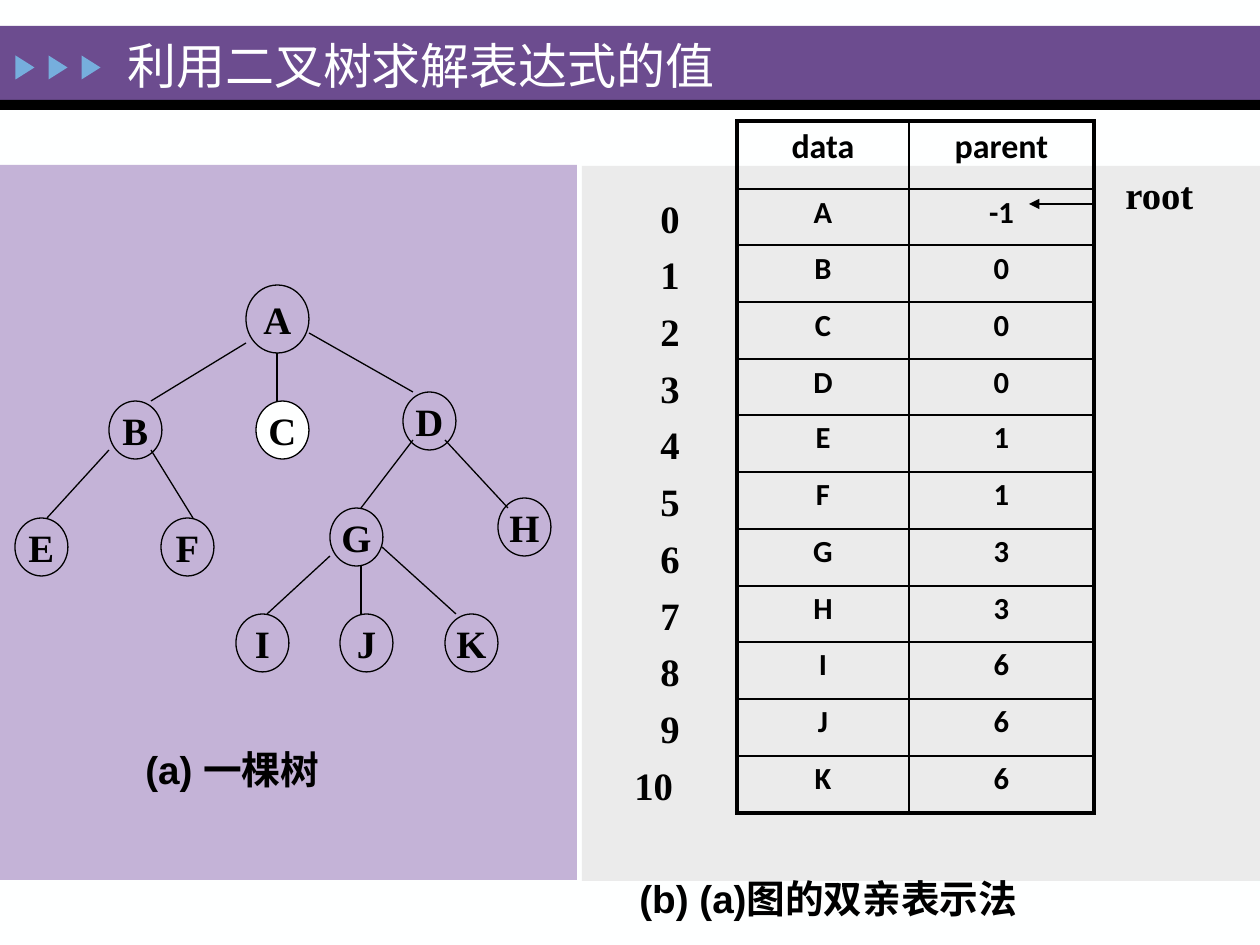
from lxml.etree import SubElement
from pptx import Presentation
from pptx.dml.color import RGBColor
from pptx.enum.shapes import MSO_CONNECTOR, MSO_SHAPE
from pptx.enum.text import MSO_ANCHOR, PP_ALIGN
from pptx.oxml.ns import qn
from pptx.util import Emu, Pt

COLORS = {
    "page": "FEFFFF", "bar": "6C4C8F", "ink": "000000", "mark": "76AEDD",
    "left": "C4B3D7", "right": "EBEBEB",
}
SERIF, SANS, BODY = "Times New Roman", "Arial", "Calibri"


def px(n):
    return Emu(round(n * 914400 / 126))


def rgb(name):
    return RGBColor.from_string(COLORS[name])


class Board:
    def __init__(self, slide):
        self.slide = slide
        self.items = slide.shapes
        slide.background.fill.solid()
        slide.background.fill.fore_color.rgb = rgb("page")

    def label(self, frame, text, size, font, color="ink", bold=True, align=PP_ALIGN.LEFT):
        para = frame.paragraphs[0]
        para.text = text
        para.alignment = align
        para.font.size = Pt(size)
        para.font.name = font
        para.font.bold = bold
        para.font.color.rgb = rgb(color)

    def shape(self, kind, x, y, w, h, fill=None, line=None):
        item = self.items.add_shape(kind, px(x), px(y), px(w), px(h))
        item.shadow.inherit = False
        if fill:
            item.fill.solid()
            item.fill.fore_color.rgb = rgb(fill)
        else:
            item.fill.background()
        if line:
            item.line.color.rgb = rgb(line)
            item.line.width = Pt(0.75)
        else:
            item.line.fill.background()
        return item

    def node(self, name, x, y, w=53, h=58, fill=None):
        item = self.shape(MSO_SHAPE.OVAL, x, y, w, h, fill, "ink")
        frame = item.text_frame
        frame.word_wrap = False
        frame.vertical_anchor = MSO_ANCHOR.MIDDLE
        self.label(frame, name, 22.1, SERIF, align=PP_ALIGN.CENTER)

    def line(self, x1, y1, x2, y2, arrow=False):
        item = self.items.add_connector(
            MSO_CONNECTOR.STRAIGHT, px(x1), px(y1), px(x2), px(y2))
        item.line.color.rgb = rgb("ink")
        item.line.width = Pt(0.75)
        props = item._element.spPr
        if arrow:
            SubElement(props.find(qn("a:ln")), qn("a:tailEnd"), type="triangle")
        SubElement(props, qn("a:effectLst"))

    def text(self, text, x, y, w, h, size=22.1, font=SERIF, color="ink", bold=True):
        frame = self.items.add_textbox(px(x), px(y), px(w), px(h)).text_frame
        frame.word_wrap = True
        frame.vertical_anchor = MSO_ANCHOR.MIDDLE
        self.label(frame, text, size, font, color, bold)

    def border(self, cell, side, width):
        props = cell._tc.get_or_add_tcPr()
        line = SubElement(props, qn("a:ln" + side), w=str(int(Pt(width))))
        fill = SubElement(line, qn("a:solidFill"))
        SubElement(fill, qn("a:srgbClr"), val=COLORS["ink"])

    def table(self, rows, x, y, wide, high):
        grid = self.items.add_table(
            len(rows), len(wide), px(x), px(y), px(sum(wide)), px(sum(high))).table
        grid.first_row = grid.horz_banding = False
        for col, w in zip(grid.columns, wide):
            col.width = px(w)
        for r, row in enumerate(rows):
            grid.rows[r].height = px(high[r])
            for c, word in enumerate(row):
                cell = grid.cell(r, c)
                outer = {"L": c == 0, "R": c == len(wide) - 1,
                         "T": r == 0, "B": r == len(rows) - 1}
                for side, edge in outer.items():
                    self.border(cell, side, 2.25 if edge else 1)
                cell.fill.background()
                cell.margin_left = cell.margin_right = px(8)
                cell.margin_top = cell.margin_bottom = px(5)
                self.label(cell.text_frame, word, 17.5 if r else 19.4, BODY,
                           align=PP_ALIGN.CENTER)


def main():
    deck = Presentation()
    deck.slide_width, deck.slide_height = px(1260), px(945)
    board = Board(deck.slides.add_slide(deck.slide_layouts[6]))

    # Title bar
    board.shape(MSO_SHAPE.RECTANGLE, 0, 26, 1260, 75, "bar")
    board.shape(MSO_SHAPE.RECTANGLE, 0, 100, 1260, 10, "ink")
    for i in range(3):
        mark = board.shape(MSO_SHAPE.ISOSCELES_TRIANGLE, 13 + 33 * i, 58, 24, 19, "mark")
        mark.rotation = 90

    # Panels
    board.shape(MSO_SHAPE.RECTANGLE, 582, 166, 678, 715, "right")
    board.shape(MSO_SHAPE.RECTANGLE, 0, 165, 577, 715, "left")
    board.text("利用二叉树求解表达式的值", 115, 23, 896, 84, 28, color="page", bold=False)

    # Tree
    board.node("A", 246, 285, 63, 68)
    board.node("C", 256, 401, fill="page")
    nodes = [
        ("B", 109, 401), ("D", 403, 392), ("E", 15, 518), ("F", 161, 518),
        ("G", 330, 508), ("H", 498, 498), ("I", 236, 614), ("J", 340, 614),
        ("K", 445, 614),
    ]
    for node in nodes:
        board.node(*node)
    edges = [
        (277, 353, 277, 401), (246, 343, 151, 401), (309, 333, 413, 392),
        (151, 450, 193, 518), (109, 450, 47, 518), (361, 566, 361, 614),
        (330, 556, 267, 614), (382, 547, 456, 614), (413, 440, 361, 508),
        (445, 440, 508, 508),
    ]
    for edge in edges:
        board.line(*edge)
    board.text("(a) 一棵树", 133, 740, 376, 59, font=SANS)

    # Parent table
    pairs = list(zip("ABCDEFGHIJK", "-1 0 0 0 1 1 3 3 6 6 6".split()))
    tops = [189 + 624 * i // len(pairs) for i in range(len(pairs) + 1)]
    high = [68] + [low - top for top, low in zip(tops, tops[1:])]
    board.table([("data", "parent")] + pairs, 737, 121, (172, 185), high)
    for i in range(len(pairs)):
        board.text(str(i), 648 if i < 10 else 622, tops[i], 70, 59)
    board.line(1092, 204, 1029, 204, arrow=True)
    board.text("root", 1113, 165, 116, 59)
    board.text("(b) (a)图的双亲表示法", 627, 869, 633, 59, font=SANS)

    deck.save("out.pptx")


if __name__ == "__main__":
    main()
